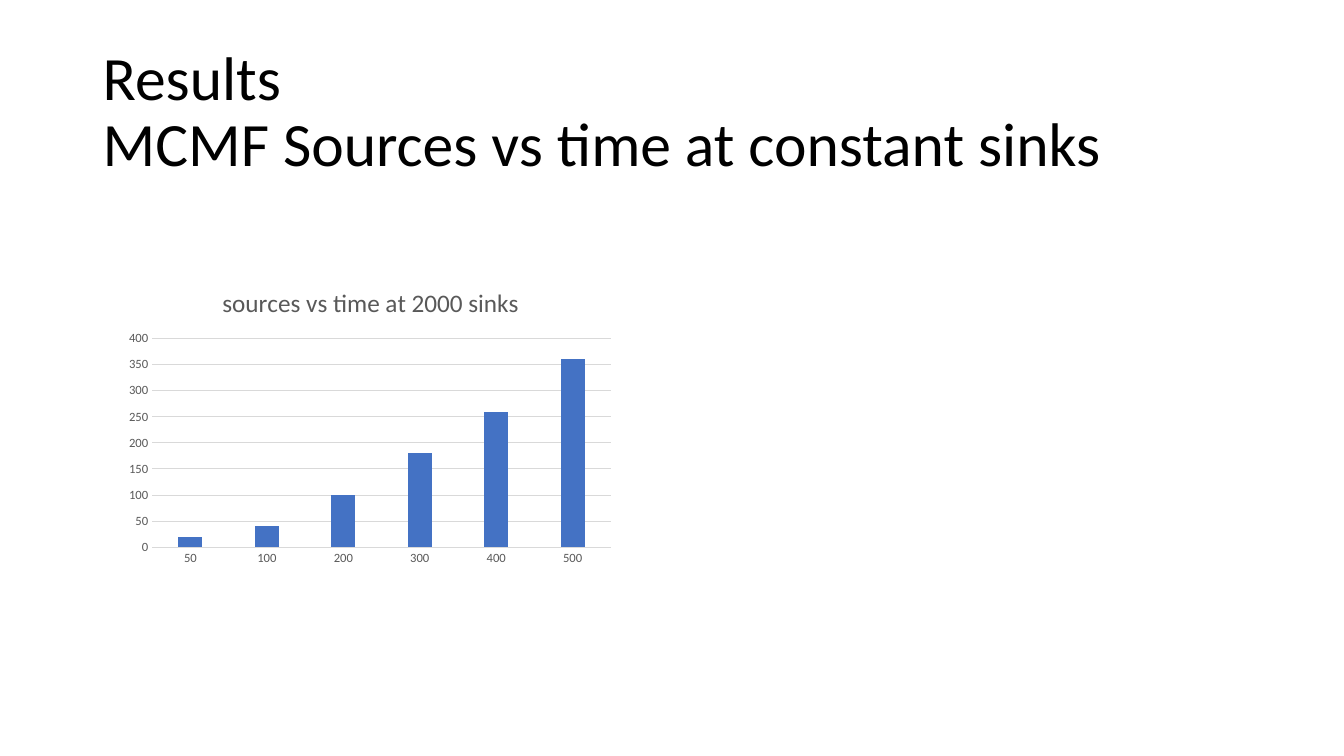
from lxml import etree
from pptx import Presentation
from pptx.chart.data import CategoryChartData
from pptx.dml.color import RGBColor
from pptx.enum.chart import XL_CHART_TYPE, XL_TICK_MARK
from pptx.enum.text import MSO_ANCHOR
from pptx.oxml.ns import qn
from pptx.util import Inches, Pt

COLUMN_CLUSTERED = XL_CHART_TYPE.COLUMN_CLUSTERED
NO_TICK = XL_TICK_MARK.NONE
MIDDLE = MSO_ANCHOR.MIDDLE

BLACK = RGBColor(0x00, 0x00, 0x00)
GREY = RGBColor(0x59, 0x59, 0x59)
LIGHT_GREY = RGBColor(0xD9, 0xD9, 0xD9)
BLUE = RGBColor(0x44, 0x72, 0xC4)
FONT = "Calibri"

SOURCES = ["50", "100", "200", "300", "400", "500"]
TIMES = [20, 40, 100, 180, 260, 360]


def style_font(font, size, color):
    font.name = FONT
    font.size = Pt(size)
    font.bold = False
    font.color.rgb = color


def style_line(line, color):
    line.color.rgb = color
    line.width = Pt(0.75)


def add_title(slide, text):
    box = slide.shapes.add_textbox(Inches(0.92), Inches(0.4), Inches(11.5), Inches(1.45))
    text_frame = box.text_frame
    text_frame.word_wrap = True
    text_frame.vertical_anchor = MIDDLE
    text_frame.text = text
    paragraph = text_frame.paragraphs[0]
    paragraph.line_spacing = 0.9
    for run in paragraph.runs:
        style_font(run.font, 44, BLACK)


def set_layout(chart, part, **settings):
    """Place a chart part by fractions of the chart's size."""
    element = chart.element.find(f".//{qn(part)}")
    layout = element.find(qn("c:layout"))
    if layout is None:
        layout = etree.Element(qn("c:layout"))
        element.insert(0 if element.find(qn("c:tx")) is None else 1, layout)
    manual = etree.SubElement(layout, qn("c:manualLayout"))
    for name, value in settings.items():
        etree.SubElement(manual, qn(f"c:{name}")).set("val", str(value))


def style_axis(axis):
    axis.major_tick_mark = NO_TICK
    axis.minor_tick_mark = NO_TICK
    style_font(axis.tick_labels.font, 9, GREY)


def add_column_chart(slide, title, categories, values):
    chart_data = CategoryChartData()
    chart_data.categories = categories
    chart_data.add_series("Series 1", values)
    chart = slide.shapes.add_chart(
        COLUMN_CLUSTERED, Inches(1.16), Inches(2.67), Inches(5), Inches(3), chart_data
    ).chart
    style_font(chart.font, 10, BLACK)
    chart.has_legend = False

    chart.has_title = True
    chart_title = chart.chart_title
    chart_title.text_frame.text = title
    style_font(chart_title.text_frame.paragraphs[0].runs[0].font, 18, GREY)
    chart_title.include_in_layout = False

    style_axis(chart.category_axis)
    style_line(chart.category_axis.format.line, LIGHT_GREY)
    value_axis = chart.value_axis
    style_axis(value_axis)
    value_axis.format.line.fill.background()
    value_axis.minimum_scale = 0
    value_axis.maximum_scale = 400
    value_axis.major_unit = 50
    style_line(value_axis.major_gridlines.format.line, LIGHT_GREY)

    plot = chart.plots[0]
    plot.gap_width = 219
    plot.overlap = -27
    plot.vary_by_categories = False
    fill = plot.series[0].format.fill
    fill.solid()
    fill.fore_color.rgb = BLUE

    set_layout(chart, "c:title", xMode="edge", yMode="edge", x=0.2, y=0.04)
    set_layout(chart, "c:plotArea", layoutTarget="inner", xMode="edge", yMode="edge",
               x=0.07, y=0.23, w=0.91, h=0.69)


def main():
    presentation = Presentation()
    presentation.slide_width = Inches(13.33)
    presentation.slide_height = Inches(7.5)
    slide = presentation.slides.add_slide(presentation.slide_layouts[6])
    add_title(slide, "Results\vMCMF Sources vs time at constant sinks")
    add_column_chart(slide, "sources vs time at 2000 sinks", SOURCES, TIMES)
    presentation.save("out.pptx")


if __name__ == "__main__":
    main()
